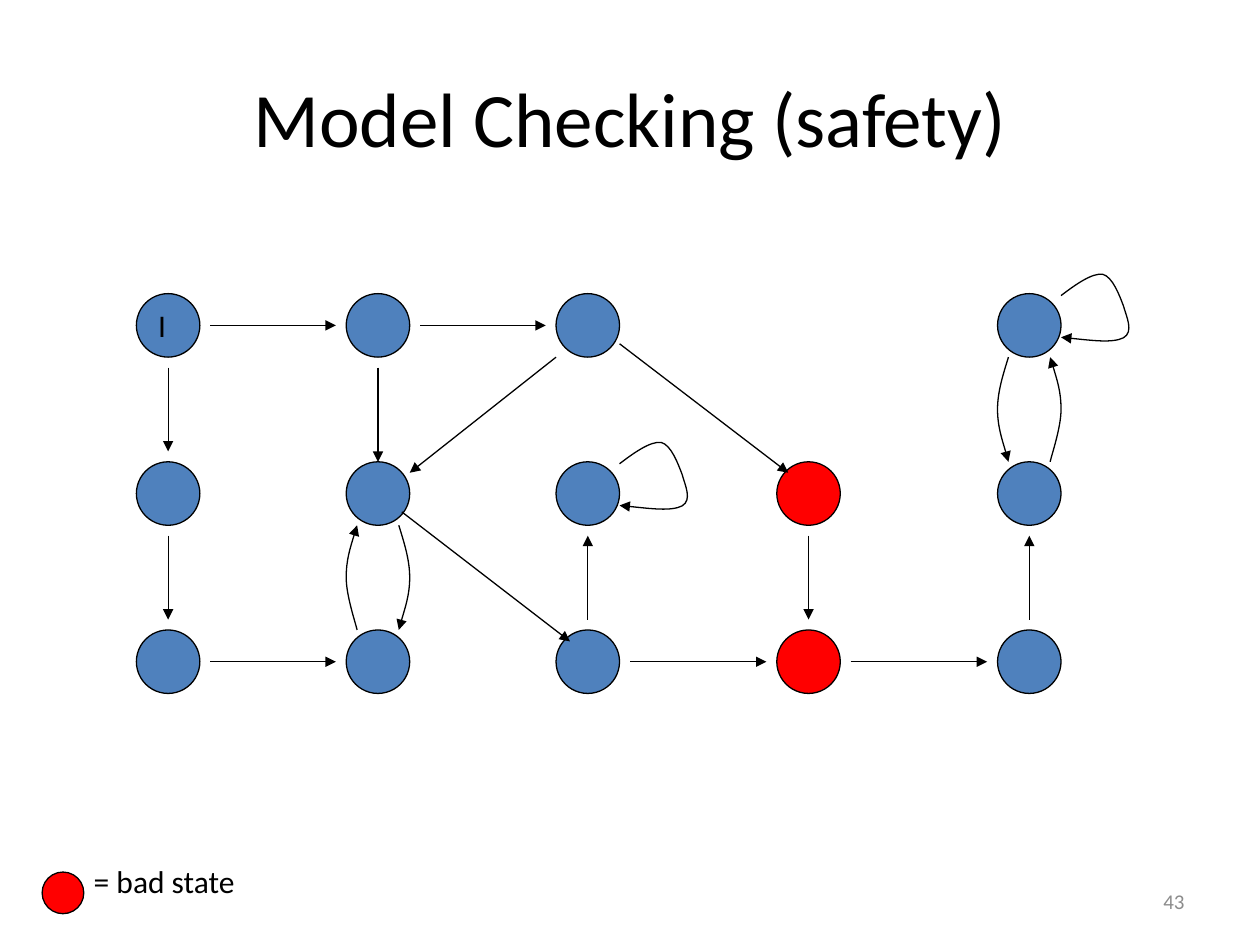
import collections
import dataclasses

import pptx
import pptx.dml.color
import pptx.enum.shapes
import pptx.enum.text
import pptx.oxml.ns
import pptx.oxml.xmlchemy
import pptx.util

Cm = pptx.util.Cm
Pt = pptx.util.Pt
ALIGN = pptx.enum.text.PP_ALIGN
ANCHOR = pptx.enum.text.MSO_ANCHOR
Box = collections.namedtuple("Box", "x y w h")


@dataclasses.dataclass(frozen=True)
class Theme:
    font: str = "Calibri"
    ink: str = "000000"
    node: str = "4F81BD"
    bad: str = "FF0000"
    faint: str = "8C8C8C"
    title: int = 44
    body: int = 18
    small: int = 12
    line: float = 0.75


THEME = Theme()
RADIUS = 0.64
REACH = 0.85
COLS = [0.64, 4.87, 9.1, 13.55, 18]
ROWS = [1.06, 4.45, 7.84]
NODES = [(0, 0), (1, 0), (2, 0), (4, 0),
         (0, 1), (1, 1), (2, 1), (3, 1), (4, 1),
         (0, 2), (1, 2), (2, 2), (3, 2), (4, 2)]
BAD = {(3, 1), (3, 2)}
START = (0, 0)
EDGES = [((0, 0), (1, 0)), ((1, 0), (2, 0)), ((0, 0), (0, 1)),
         ((0, 1), (0, 2)), ((0, 2), (1, 2)), ((2, 2), (2, 1)),
         ((2, 2), (3, 2)), ((3, 1), (3, 2)), ((3, 2), (4, 2)),
         ((4, 2), (4, 1))]
SLANTS = [((2, 0), (-0.64, 0.64), (1, 1), (0.64, -0.42)),
          ((1, 1), (0.48, 0.37), (2, 2), (-0.36, -0.41)),
          ((2, 0), (0.64, 0.37), (3, 1), (-0.41, -0.42))]
BENDS = [((1, 1), 1, "tailEnd"), ((1, 1), -1, "headEnd"),
         ((4, 0), -1, "tailEnd"), ((4, 0), 1, "headEnd")]
BEND = [(0.42, 0), (0.53, 0.17), (0.64, 0.33), (0.64, 0.5),
        (0.64, 0.67), (0.46, 0.92), (0.42, 1)]
LOOPS = [(2, 1), (4, 0)]
LOOP = [(0.64, -0.6), (0.94, -0.83), (1.27, -1.06), (1.48, -1.03),
        (1.68, -0.98), (1.82, -0.6), (1.9, -0.39), (1.96, -0.17),
        (2.11, 0.13), (1.9, 0.25), (1.68, 0.36), (1.15, 0.29),
        (0.64, 0.24)]


def rgb(code):
    return pptx.dml.color.RGBColor.from_string(code)


def make(tag):
    return pptx.oxml.xmlchemy.OxmlElement(tag)


def put(shape, text, size=THEME.body, color=THEME.ink, align=ALIGN.LEFT,
        anchor=ANCHOR.TOP, wrap=True):
    frame = shape.text_frame
    frame.word_wrap = wrap
    frame.vertical_anchor = anchor
    frame.text = text
    par = frame.paragraphs[0]
    par.alignment = align
    font = par.runs[0].font
    font.name, font.size = THEME.font, Pt(size)
    font.color.rgb = rgb(color)


def stroke(shape, end=None):
    shape.line.color.rgb = rgb(THEME.ink)
    shape.line.width = Pt(THEME.line)
    if end:
        mark = make("a:" + end)
        mark.set("type", "triangle")
        shape.line._get_or_add_ln().append(mark)


def disc(slide, x, y, radius, color):
    oval = pptx.enum.shapes.MSO_SHAPE.OVAL
    shape = slide.shapes.add_shape(oval, Cm(x - radius), Cm(y - radius),
                                   Cm(2 * radius), Cm(2 * radius))
    shape.shadow.inherit = False
    shape.fill.solid()
    shape.fill.fore_color.rgb = rgb(color)
    stroke(shape)
    return shape


def arrow(slide, start, end):
    kind = pptx.enum.shapes.MSO_CONNECTOR.STRAIGHT
    line = slide.shapes.add_connector(kind, *map(Cm, start + end))
    stroke(line, "tailEnd")
    line._element.spPr.append(make("a:effectLst"))
    return line


def curve(slide, points, end):
    spots = [(Cm(x), Cm(y)) for x, y in points]
    draft = slide.shapes.build_freeform(*spots[0])
    draft.add_line_segments(spots[1:], close=False)
    shape = draft.convert_to_shape()
    steps = list(shape._element.iter(pptx.oxml.ns.qn("a:lnTo")))
    for i in range(0, len(steps), 3):
        cubic = make("a:cubicBezTo")
        steps[i].addprevious(cubic)
        for step in steps[i:i + 3]:
            cubic.append(step[0])
            step.getparent().remove(step)
    shape.shadow.inherit = False
    shape.fill.background()
    stroke(shape, end)


def place(shape, box):
    shape.left, shape.top, shape.width, shape.height = map(Cm, box)


def title(slide, box):
    shape = slide.shapes.title
    place(shape, box)
    put(shape, "Model Checking (safety)", size=THEME.title,
        align=ALIGN.CENTER, anchor=ANCHOR.MIDDLE)


def graph(slide, box):
    def spot(node, dx=0, dy=0):
        return box.x + COLS[node[0]] + dx, box.y + ROWS[node[1]] + dy

    discs = {}
    for node in NODES:
        color = THEME.bad if node in BAD else THEME.node
        discs[node] = disc(slide, *spot(node), RADIUS, color)
    put(discs[START], "I", anchor=ANCHOR.MIDDLE, wrap=False)

    for head, tail in EDGES:
        dx, dy = [REACH * (b > a) - REACH * (b < a)
                  for a, b in zip(head, tail)]
        arrow(slide, spot(head, dx, dy), spot(tail, -dx, -dy))
    drop = arrow(slide, spot((1, 0), 0, REACH), spot((1, 1), 0, -RADIUS))
    drop.end_connect(discs[1, 1], 0)
    for head, out, tail, into in SLANTS:
        arrow(slide, spot(head, *out), spot(tail, *into))

    span = ROWS[1] - ROWS[0] - 2 * RADIUS
    for node, side, end in BENDS:
        curve(slide, [spot(node, side * x, RADIUS + span * y)
                      for x, y in BEND], end)
    for node in LOOPS:
        curve(slide, [spot(node, x, y) for x, y in LOOP], "tailEnd")


def legend(slide, box):
    disc(slide, box.x + 0.42, box.y + 0.75, 0.42, THEME.bad)
    label = slide.shapes.add_textbox(*map(Cm, (box.x + 0.79, box.y,
                                               box.w - 0.79, box.h)))
    put(label, "= bad state", wrap=False)


def number(slide, box):
    label = slide.shapes.add_textbox(*map(Cm, box))
    put(label, "43", size=THEME.small, color=THEME.faint,
        align=ALIGN.RIGHT, anchor=ANCHOR.MIDDLE)


def main():
    deck = pptx.Presentation()
    deck.slide_width, deck.slide_height = Cm(25.4), Cm(19.05)
    slide = deck.slides.add_slide(deck.slide_layouts[5])
    title(slide, Box(1.27, 0.76, 22.86, 3.18))
    graph(slide, Box(2.75, 5.5, 20.11, 8.48))
    legend(slide, Box(0.85, 17.25, 5.66, 1.27))
    number(slide, Box(18.2, 17.66, 5.93, 1.01))
    deck.save("out.pptx")


if __name__ == "__main__":
    main()
